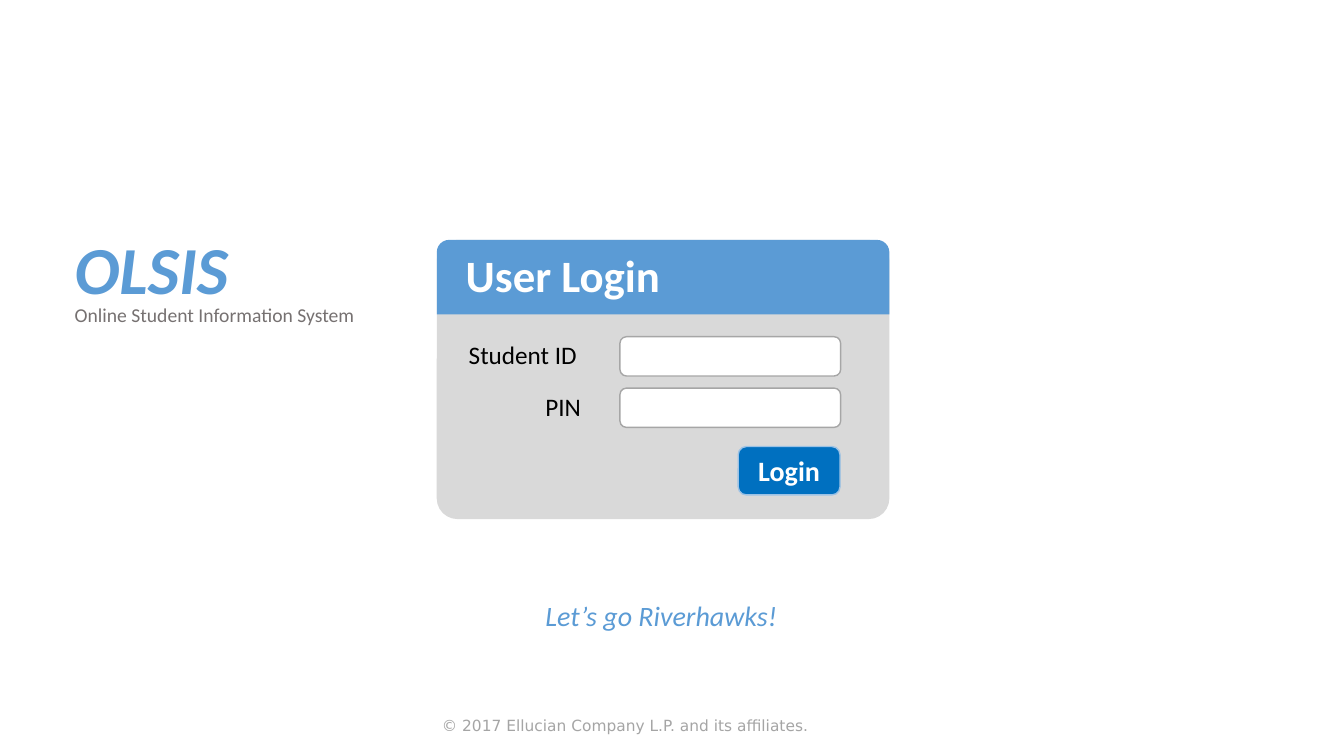
import pptx
import pptx.dml.color
import pptx.enum.shapes
import pptx.enum.text
import pptx.util

SLIDE_WIDTH = pptx.util.Inches(13.33)
SLIDE_HEIGHT = pptx.util.Inches(7.5)
COLUMN = SLIDE_WIDTH / 40
ROW = SLIDE_HEIGHT / 30

COLORS = {
    "brand": "5B9BD5",
    "subtitle": "767171",
    "card": "D9D9D9",
    "white": "FFFFFF",
    "field_line": "A6A6A6",
    "black": "000000",
    "button": "0070C0",
    "button_line": "9CC2E5",
    "copyright": "A5A5A5",
}
PRESETS = pptx.enum.shapes.MSO_SHAPE
ANCHORS = pptx.enum.text.MSO_ANCHOR
ALIGNMENTS = pptx.enum.text.PP_ALIGN

CARD_LEFT, CARD_TOP, CARD_WIDTH = 13, 9.52, 13.47
FIELD_LEFT, FIELD_TOP, FIELD_WIDTH, FIELD_HEIGHT = 18.45, 13.36, 6.57, 1.56
FIELD_PITCH = 2.04
FIELD_LABELS = [("Student ID", 13.8), ("PIN", 16.08)]
LABEL_RIGHT = 17.6


def color(name):
    return pptx.dml.color.RGBColor.from_string(COLORS[name])


def grid_box(left, top, width, height):
    """Turn columns and rows of the grid into slide lengths."""
    return [round(length) for length in
            (left * COLUMN, top * ROW, width * COLUMN, height * ROW)]


def write_text(shape, text, size, fill, font="Calibri", bold=False, italic=False,
               align=ALIGNMENTS.LEFT, anchor=ANCHORS.TOP):
    frame = shape.text_frame
    frame.word_wrap = True
    frame.auto_size = pptx.enum.text.MSO_AUTO_SIZE.NONE
    frame.vertical_anchor = anchor
    frame.margin_left = frame.margin_right = pptx.util.Inches(0.05)
    frame.margin_top = frame.margin_bottom = pptx.util.Inches(0.05)
    paragraph = frame.paragraphs[0]
    paragraph.alignment = align
    run = paragraph.add_run()
    run.text = text
    run.font.name = font
    run.font.size = pptx.util.Pt(size)
    run.font.bold = bold
    run.font.italic = italic
    run.font.color.rgb = color(fill)


def add_label(slide, box, text, size, fill, **text_format):
    write_text(slide.shapes.add_textbox(*grid_box(*box)), text, size, fill, **text_format)


def add_panel(slide, preset, box, fill, corners, line=None):
    shape = slide.shapes.add_shape(preset, *grid_box(*box))
    shape.shadow.inherit = False
    for index, corner in enumerate(corners):
        shape.adjustments[index] = corner
    shape.fill.solid()
    shape.fill.fore_color.rgb = color(fill)
    if line:
        shape.line.color.rgb = color(line)
        shape.line.width = pptx.util.Pt(1)
    else:
        shape.line.fill.background()
    return shape


def add_system_name(slide):
    title = slide.shapes.title
    title.left, title.top, title.width, title.height = grid_box(2.07, 8.84, 5.85, 3.52)
    write_text(title, "OLSIS", 48, "brand", bold=True, italic=True)
    add_label(slide, (2.07, 11.84, 9.48, 1.28), "Online Student Information System",
              14, "subtitle")


def add_login_card(slide):
    add_panel(slide, PRESETS.ROUNDED_RECTANGLE,
              (CARD_LEFT, CARD_TOP, CARD_WIDTH, 11.08), "card", [0.074])
    add_panel(slide, PRESETS.ROUND_2_SAME_RECTANGLE,
              (CARD_LEFT, CARD_TOP, CARD_WIDTH, 2.96), "brand", [0.167, 0])
    add_label(slide, (13.71, 9.64, 6.15, 2.56), "User Login", 32, "white", bold=True)

    for index, (text, label_left) in enumerate(FIELD_LABELS):
        top = FIELD_TOP + index * FIELD_PITCH
        add_panel(slide, PRESETS.ROUNDED_RECTANGLE,
                  (FIELD_LEFT, top, FIELD_WIDTH, FIELD_HEIGHT),
                  "white", [0.167], line="field_line")
        add_label(slide, (label_left, top - 0.08, LABEL_RIGHT - label_left, FIELD_HEIGHT),
                  text, 18, "black")

    button = add_panel(slide, PRESETS.ROUNDED_RECTANGLE, (21.97, 17.72, 3.03, 1.92),
                       "button", [0.167], line="button_line")
    write_text(button, "Login", 20, "white", bold=True,
               align=ALIGNMENTS.CENTER, anchor=ANCHORS.MIDDLE)


def main():
    presentation = pptx.Presentation()
    presentation.slide_width = SLIDE_WIDTH
    presentation.slide_height = SLIDE_HEIGHT
    slide = presentation.slides.add_slide(presentation.slide_layouts.get_by_name("Title Only"))
    add_system_name(slide)
    add_login_card(slide)
    add_label(slide, (16.08, 23.56, 7.47, 1.76), "Let’s go Riverhawks!", 20, "brand",
              italic=True)
    add_label(slide, (CARD_LEFT, 28.24, 20.58, 1.16),
              "© 2017 Ellucian Company L.P. and its affiliates.", 11, "copyright",
              font="DejaVu Sans")
    presentation.save("out.pptx")


if __name__ == "__main__":
    main()
